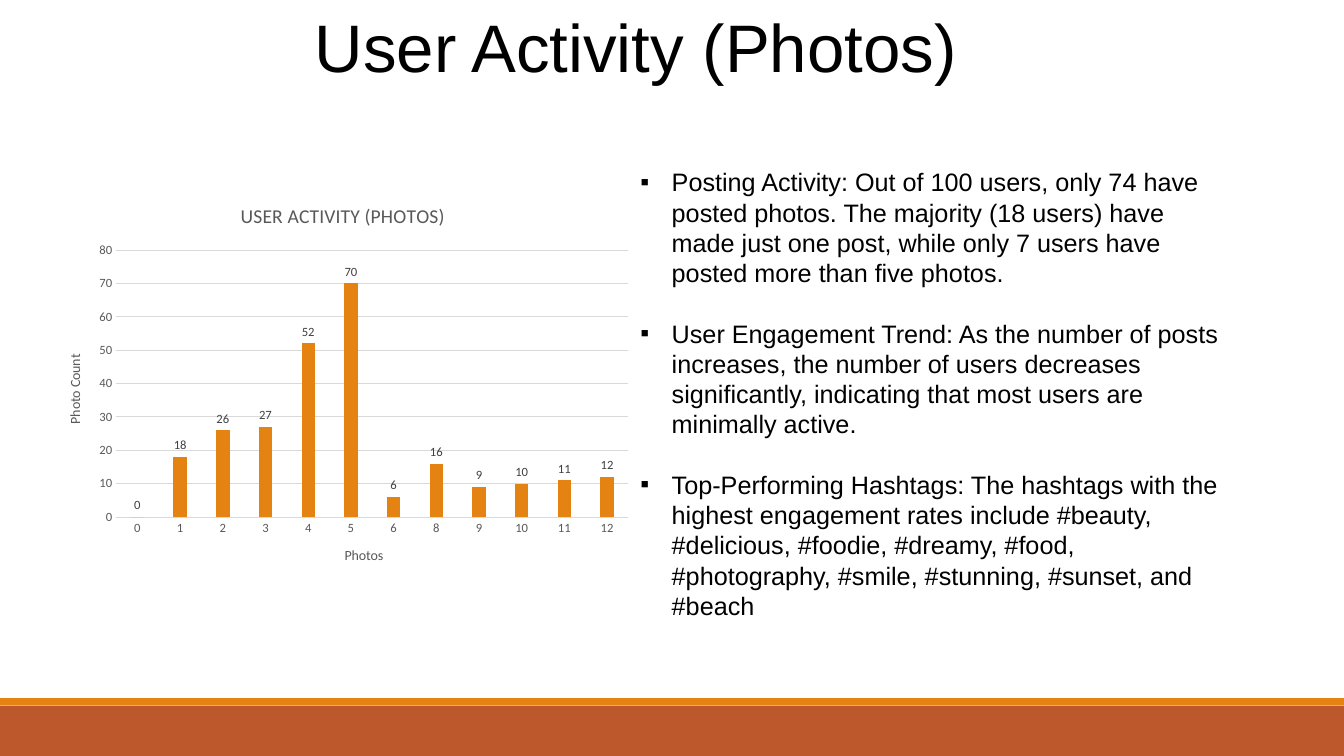
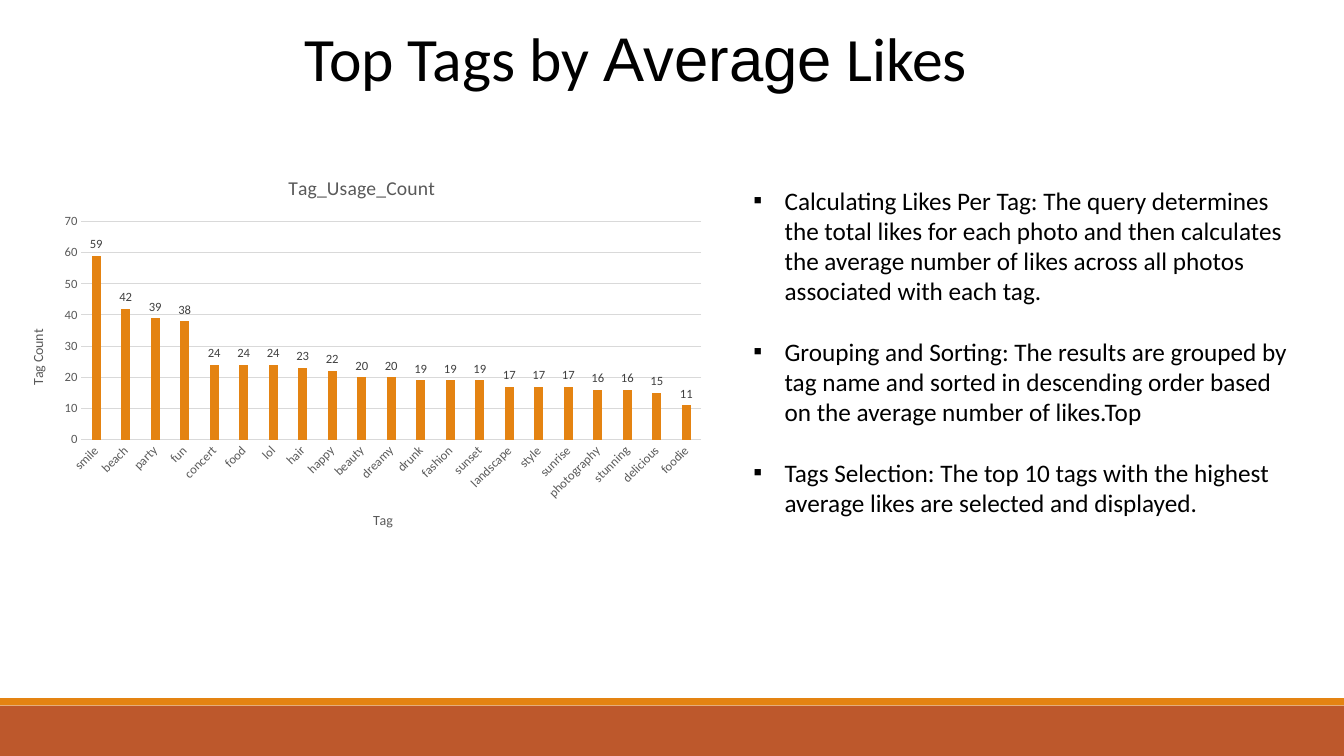
"""Build two slides on photo activity and tag use, each a column chart beside bullets."""
from lxml.etree import SubElement
from pptx import Presentation
from pptx.chart.data import CategoryChartData as Data
from pptx.dml.color import RGBColor as RGB
from pptx.enum.chart import XL_CHART_TYPE as Kind, XL_LABEL_POSITION as Spot, XL_TICK_MARK as Tick
from pptx.enum.shapes import MSO_SHAPE as Form
from pptx.enum.text import MSO_AUTO_SIZE as Fit, PP_ALIGN as Align
from pptx.oxml.ns import qn
from pptx.util import Inches, Pt

RUST = RGB(0xBD, 0x58, 0x2C)
ORANGE = RGB(0xE4, 0x83, 0x12)
BLACK = RGB(0, 0, 0)
DARK = RGB(0x40, 0x40, 0x40)
GRAY = RGB(0x59, 0x59, 0x59)
PALE = RGB(0xD9, 0xD9, 0xD9)
WIDE, HIGH = Inches(13.33), Inches(7.5)
INDENT = Inches(0.31)
LINE = Pt(21.6)
BANDS = ((RUST, (0, 93.33, 100, 6.67)), (ORANGE, (0, 92.35, 100, 0.95)))

PAGES = [
    {
        "title": [("User Activity (Photos)", "Arial")],
        "size": 48, "font": "Arial", "turn": 0, "top": 80,
        "head": (22.66, 0, 50.04, 12.13),
        "plot": (3.38, 24.53, 44.26, 52.8),
        "body": (46.92, 21.4, 45.46, 61.87),
        "names": ("USER ACTIVITY (PHOTOS)", "Photos", "Photo Count"),
        "cats": "0 1 2 3 4 5 6 8 9 10 11 12".split(),
        "vals": (0, 18, 26, 27, 52, 70, 6, 16, 9, 10, 11, 12),
        "points": [
            "Posting Activity: Out of 100 users, only 74 have posted photos. The majority "
            "(18 users) have made just one post, while only 7 users have posted more than "
            "five photos.",
            "User Engagement Trend: As the number of posts increases, the number of users "
            "decreases significantly, indicating that most users are minimally active.",
            "Top-Performing Hashtags: The hashtags with the highest engagement rates include "
            "#beauty, #delicious, #foodie, #dreamy, #food, #photography, #smile, #stunning, "
            "#sunset, and #beach",
        ],
    },
    {
        "title": [("Top Tags by ", "Calibri"), ("Average", "Arial"), (" Likes", "Calibri")],
        "size": 44, "font": "Calibri", "turn": -45, "top": 70,
        "head": (21.9, 1.9, 56.19, 11.2),
        "plot": (0.63, 20.8, 52.59, 51.87),
        "body": (55.32, 23.8, 42.39, 45.73),
        "names": ("Tag_Usage_Count", "Tag", "Tag Count"),
        "cats": "smile beach party fun concert food lol hair happy beauty dreamy drunk fashion "
                "sunset landscape style sunrise photography stunning delicious foodie".split(),
        "vals": (59, 42, 39, 38, 24, 24, 24, 23, 22, 20, 20,
                 19, 19, 19, 17, 17, 17, 16, 16, 15, 11),
        "points": [
            "Calculating Likes Per Tag: The query determines the total likes for each photo and "
            "then calculates the average number of likes across all photos associated with "
            "each tag.",
            "Grouping and Sorting: The results are grouped by tag name and sorted in descending "
            "order based on the average number of likes.Top",
            "Tags Selection: The top 10 tags with the highest average likes are selected and "
            "displayed.",
        ],
    },
]


def area(x, y, w, h):
    """Turn percent shares of the slide into lengths."""
    return [int(side * part / 100) for side, part in zip((WIDE, HIGH, WIDE, HIGH), (x, y, w, h))]


def style(font, size, color, name="Calibri"):
    """Set a plain font."""
    font.size, font.name, font.bold = Pt(size), name, False
    font.color.rgb = color


deck = Presentation()
deck.slide_width, deck.slide_height = WIDE, HIGH

for page in PAGES:
    slide = deck.slides.add_slide(deck.slide_layouts[5])
    for color, share in BANDS:
        band = slide.shapes.add_shape(Form.RECTANGLE, *area(*share))
        band.shadow.inherit = False
        band.fill.solid()
        band.fill.fore_color.rgb = color
        band.line.fill.background()

    title = slide.shapes.title
    title.left, title.top, title.width, title.height = area(*page["head"])
    title.text_frame.auto_size = Fit.NONE
    para = title.text_frame.paragraphs[0]
    para.alignment = Align.LEFT
    for text, name in page["title"]:
        run = para.add_run()
        run.text = text
        style(run.font, page["size"], BLACK, name)

    data = Data()
    data.categories = page["cats"]
    data.add_series("Series 1", page["vals"])
    chart = slide.shapes.add_chart(Kind.COLUMN_CLUSTERED, *area(*page["plot"]), data).chart
    style(chart.font, 10, BLACK)
    chart.has_legend = False
    base, scale = chart.category_axis, chart.value_axis
    for part, text, size in zip((chart, base, scale), page["names"], (14, 10, 10)):
        part.has_title = True
        frame = (part.chart_title if part is chart else part.axis_title).text_frame
        frame.text = text
        style(frame.paragraphs[0].font, size, GRAY)
        if part is scale:
            frame._txBody.bodyPr.set("rot", str(-90 * 60000))
    for axis in (base, scale):
        axis.major_tick_mark = axis.minor_tick_mark = Tick.NONE
        style(axis.tick_labels.font, 9, GRAY)
    if page["turn"]:
        base._element.find(qn("c:txPr")).find(qn("a:bodyPr")).set("rot", str(page["turn"] * 60000))
    scale.minimum_scale, scale.maximum_scale, scale.major_unit = 0, page["top"], 10
    scale.format.line.fill.background()
    for line in (base.format.line, scale.major_gridlines.format.line):
        line.color.rgb = PALE
        line.width = Pt(0.75)
    plot = chart.plots[0]
    plot.gap_width, plot.overlap, plot.vary_by_categories = 219, -27, False
    fill = plot.series[0].format.fill
    fill.solid()
    fill.fore_color.rgb = ORANGE
    plot.has_data_labels = True
    labels = plot.data_labels
    labels.show_value, labels.position = True, Spot.OUTSIDE_END
    style(labels.font, 9, DARK)

    frame = slide.shapes.add_textbox(*area(*page["body"])).text_frame
    frame.word_wrap = True
    for spot, text in enumerate(page["points"]):
        para = frame.add_paragraph() if spot else frame.paragraphs[0]
        para.text = text
        style(para.font, 18, BLACK, page["font"])
        para.line_spacing = LINE
        para.space_before = LINE if spot else 0
        props = para._p.get_or_add_pPr()
        props.set("marL", str(INDENT))
        props.set("indent", str(-INDENT))
        SubElement(props, qn("a:buFont")).set("typeface", "Arial")
        SubElement(props, qn("a:buChar")).set("char", "▪")
        props.append(props.find(qn("a:defRPr")))

deck.save("out.pptx")
